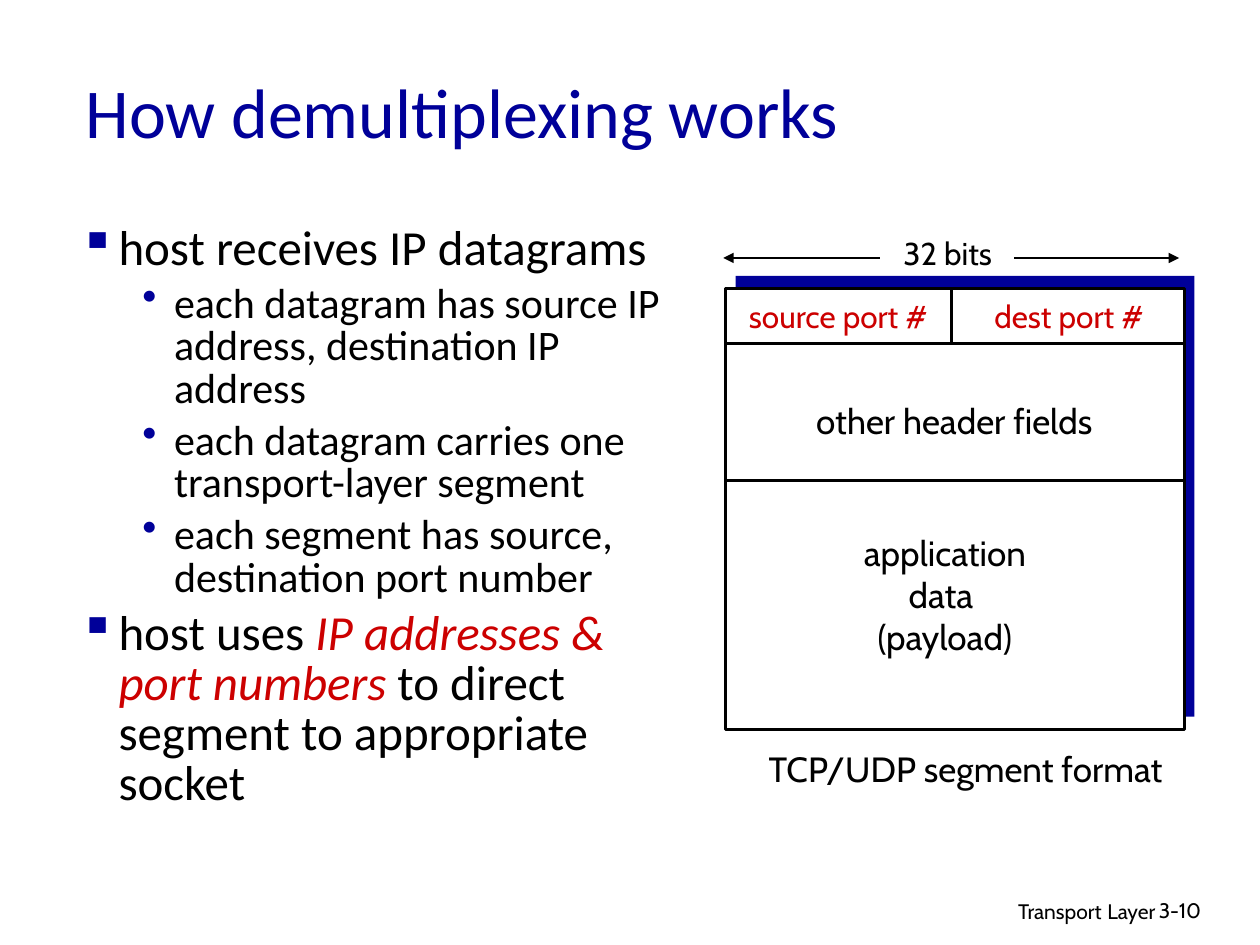
from lxml.etree import SubElement
from pptx import Presentation
from pptx.dml.color import RGBColor
from pptx.enum.shapes import MSO_CONNECTOR, MSO_SHAPE
from pptx.enum.text import MSO_ANCHOR, MSO_AUTO_SIZE, PP_ALIGN
from pptx.oxml.ns import qn
from pptx.util import Cm, Pt

COLORS = {"blue": "000099", "red": "CC0000", "black": "000000", "white": "FFFFFF"}
BODY_FONT, LABEL_FONT = "Calibri", "Cabin"

TITLE = "How demultiplexing works"
# (level, [(text, emphasised)])
BULLETS = [
    (0, [("host receives IP datagrams", False)]),
    (1, [("each datagram has source IP address, destination IP address", False)]),
    (1, [("each datagram carries one transport-layer segment", False)]),
    (1, [("each segment has source, destination port number", False)]),
    (0, [("host uses ", False), ("IP addresses & port numbers", True),
         (" to direct segment to appropriate socket", False)]),
]
# level: (bullet, size, left margin, hanging indent)
LEVELS = {0: ("▪", 28, 0.79, 0.79), 1: ("•", 24, 1.91, 0.64)}

# Segment diagram, in centimetres
LEFT, TOP, WIDTH, HEIGHT = 14.63, 5.82, 9.25, 8.89
RIGHT = LEFT + WIDTH
PORTS_BOTTOM, HEADER_BOTTOM, PORT_SPLIT = 6.93, 9.68, 19.18
SHADOW_RIGHT, SHADOW_UP = 0.2, 0.26
ARROW_Y = 5.2

# (lines, left, top, width, height, size, colour)
LABELS = [
    (["source port #"], 14.73, 5.87, 4.34, 1.02, 18, "red"),
    (["dest port #"], 19.71, 5.87, 3.68, 1.02, 18, "red"),
    (["32 bits"], 17.91, 4.6, 2.39, 1.02, 18, "black"),
    (["application", "data ", "(payload)"], 17.12, 10.59, 3.86, 2.79, 20, "black"),
    (["other header fields"], 16.05, 7.92, 6.38, 1.09, 20, "black"),
    (["TCP/UDP segment format"], 15.21, 14.94, 8.51, 1.09, 20, "black"),
]
# (start x, start y, end x, end y, has arrowhead)
LINES = [
    (LEFT, PORTS_BOTTOM, RIGHT, PORTS_BOTTOM, False),
    (LEFT, HEADER_BOTTOM, RIGHT, HEADER_BOTTOM, False),
    (PORT_SPLIT, PORTS_BOTTOM, PORT_SPLIT, TOP, False),
    (20.45, ARROW_Y, 23.77, ARROW_Y, True),
    (17.73, ARROW_Y, 14.58, ARROW_Y, True),
]


def color(name):
    return RGBColor.from_string(COLORS[name])


def add_run(paragraph, text, size, font_name, color_name, italic=False):
    run = paragraph.add_run()
    run.text = text
    run.font.size = Pt(size)
    run.font.name = font_name
    run.font.italic = italic
    run.font.color.rgb = color(color_name)


def add_text_frame(slide, left, top, width, height, wrap=True):
    box = slide.shapes.add_textbox(Cm(left), Cm(top), Cm(width), Cm(height))
    box.text_frame.word_wrap = wrap
    return box.text_frame


def next_paragraph(frame, index):
    return frame.add_paragraph() if index else frame.paragraphs[0]


def add_title(slide):
    title = slide.shapes.title
    title.left, title.top, title.width, title.height = Cm(1.47), Cm(0.64), Cm(21.59), Cm(3.18)
    frame = title.text_frame
    frame.auto_size = MSO_AUTO_SIZE.NONE
    frame.vertical_anchor = MSO_ANCHOR.MIDDLE
    paragraph = frame.paragraphs[0]
    paragraph.alignment = PP_ALIGN.LEFT
    add_run(paragraph, TITLE, 40, BODY_FONT, "blue")


def set_bullet(paragraph, character, margin, hanging):
    properties = paragraph._p.get_or_add_pPr()
    properties.set("marL", str(Cm(margin)))
    properties.set("indent", str(-Cm(hanging)))
    bullet_color = SubElement(properties, qn("a:buClr"))
    SubElement(bullet_color, qn("a:srgbClr"), val=COLORS["blue"])
    SubElement(properties, qn("a:buChar"), char=character)


def add_bullets(slide):
    frame = add_text_frame(slide, 1.35, 4.42, 12.32, 7.75)
    for index, (level, runs) in enumerate(BULLETS):
        character, size, margin, hanging = LEVELS[level]
        paragraph = next_paragraph(frame, index)
        set_bullet(paragraph, character, margin, hanging)
        paragraph.level = level
        paragraph.line_spacing = 0.85
        paragraph.space_before = Pt(0.2 * size if index else 0)
        for text, emphasised in runs:
            add_run(paragraph, text, size, BODY_FONT,
                    "red" if emphasised else "black", emphasised)


def add_rectangle(slide, left, top, fill_name, outlined):
    shape = slide.shapes.add_shape(MSO_SHAPE.RECTANGLE, Cm(left), Cm(top),
                                   Cm(WIDTH), Cm(HEIGHT))
    shape.shadow.inherit = False
    shape.fill.solid()
    shape.fill.fore_color.rgb = color(fill_name)
    if outlined:
        shape.line.color.rgb = color("black")
        shape.line.width = Pt(1.5)
    else:
        shape.line.fill.background()


def add_line(slide, start_x, start_y, end_x, end_y, arrow):
    line = slide.shapes.add_connector(MSO_CONNECTOR.STRAIGHT, Cm(start_x), Cm(start_y),
                                      Cm(end_x), Cm(end_y))
    line.line.color.rgb = color("black")
    line.line.width = Pt(1.5)
    if arrow:
        SubElement(line.line._get_or_add_ln(), qn("a:tailEnd"), type="triangle")
    SubElement(line._element.spPr, qn("a:effectLst"))


def add_segment(slide):
    add_rectangle(slide, LEFT + SHADOW_RIGHT, TOP - SHADOW_UP, "blue", False)
    add_rectangle(slide, LEFT, TOP, "white", True)
    for line in LINES:
        add_line(slide, *line)
    for texts, left, top, width, height, size, color_name in LABELS:
        frame = add_text_frame(slide, left, top, width, height, wrap=False)
        frame.auto_size = MSO_AUTO_SIZE.SHAPE_TO_FIT_TEXT
        for index, text in enumerate(texts):
            paragraph = next_paragraph(frame, index)
            paragraph.alignment = PP_ALIGN.CENTER
            add_run(paragraph, text, size, LABEL_FONT, color_name)


def add_footer(slide):
    paragraph = add_text_frame(slide, 15.49, 17.91, 8.05, 0.79).paragraphs[0]
    paragraph.alignment = PP_ALIGN.RIGHT
    for text, size in [("Transport", 12), (" ", 14), ("Layer", 12)]:
        add_run(paragraph, text, size, LABEL_FONT, "black")
    number = add_text_frame(slide, 23.11, 17.96, 1.88, 0.76).paragraphs[0]
    add_run(number, "3-10", 12, LABEL_FONT, "black")


def main():
    presentation = Presentation()
    presentation.slide_width, presentation.slide_height = Cm(25.4), Cm(19.05)
    slide = presentation.slides.add_slide(presentation.slide_layouts[5])
    add_title(slide)
    add_bullets(slide)
    add_segment(slide)
    add_footer(slide)
    presentation.save("out.pptx")


if __name__ == "__main__":
    main()
